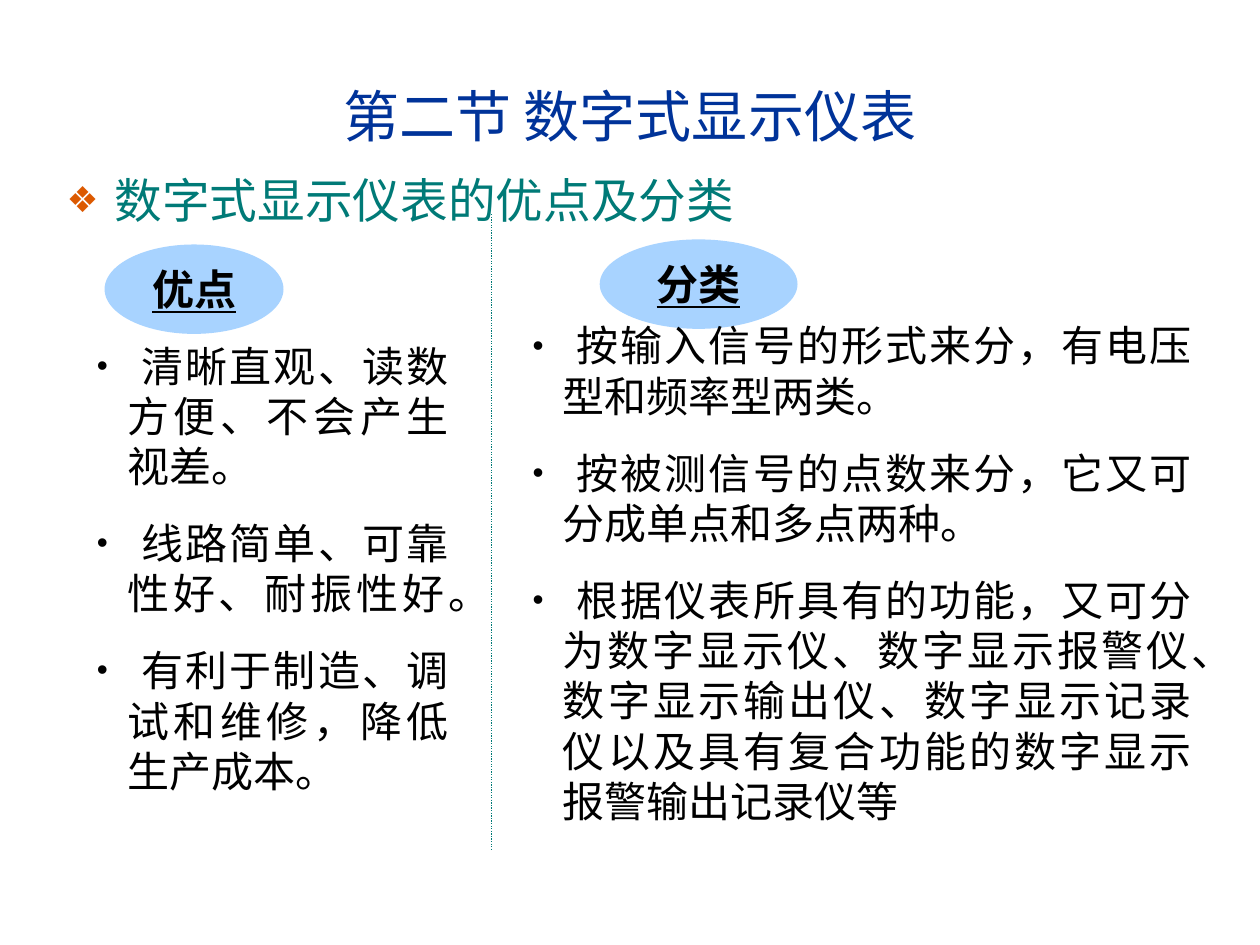
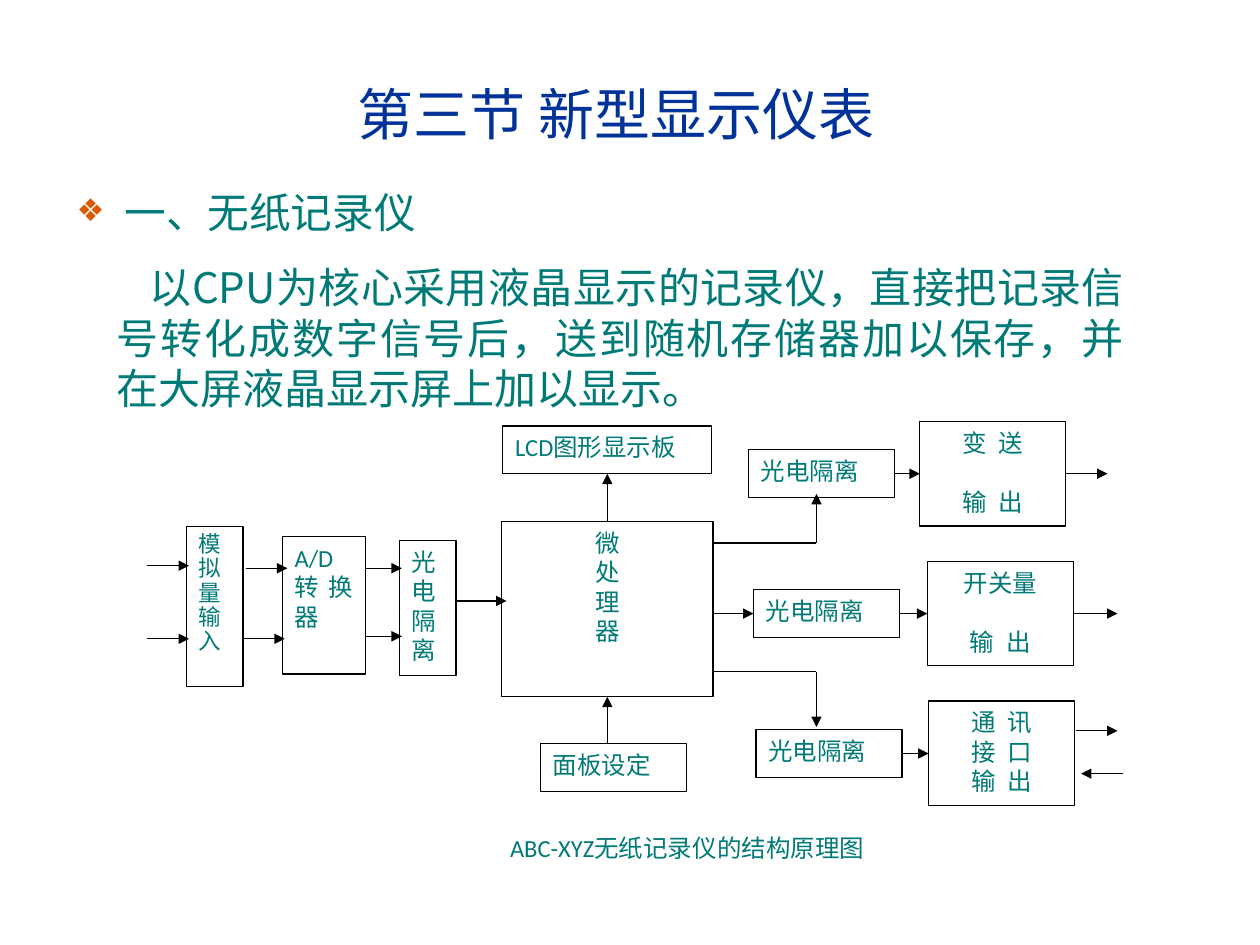
from dataclasses import dataclass

from lxml.etree import SubElement
from pptx import Presentation
from pptx.dml.color import RGBColor
from pptx.enum.dml import MSO_LINE
from pptx.enum.shapes import MSO_CONNECTOR, MSO_SHAPE
from pptx.enum.text import MSO_ANCHOR as Anchor, PP_ALIGN as Align
from pptx.oxml.ns import qn
from pptx.util import Inches, Pt


@dataclass(frozen=True)
class Theme:
    title: str = "003399"
    teal: str = "007A77"
    marker: str = "DC5900"
    oval: str = "99CCFF"
    ink: str = "000000"
    paper: str = "FFFFFF"
    heading_font: str = "Arial"
    list_font: str = "Times New Roman"
    box_font: str = "Calibri"
    cjk_font: str = "Noto Sans CJK SC"
    title_size: float = 32
    body_size: float = 24
    box_size: float = 14
    paragraph_gap: float = 15
    line_width: float = 0.75


THEME = Theme()
WIDTH, HEIGHT = 10, 7.5
TOP, LEFT, BOTTOM, RIGHT = range(4)

# Slide 1 content: heading, its oval, the list area, the points
COLUMNS = [
    ("优点", (0.83, 1.94, 1.42, 0.71), (0.67, 2.65, 2.99, 3.72), [
        "清晰直观、读数方便、不会产生视差。",
        "线路简单、可靠性好、耐振性好。",
        "有利于制造、调试和维修，降低生产成本。",
    ]),
    ("分类", (4.76, 1.9, 1.57, 0.71), (4.13, 2.49, 5.43, 4.12), [
        "按输入信号的形式来分，有电压型和频率型两类。",
        "按被测信号的点数来分，它又可分成单点和多点两种。",
        "根据仪表所具有的功能，又可分为数字显示仪、数字显示报警仪、数字显示输出仪、"
        "数字显示记录仪以及具有复合功能的数字显示报警输出记录仪等",
    ]),
]

# Slide 2 content
RECORDER = ("以CPU为核心采用液晶显示的记录仪，直接把记录信号转化成数字信号后，"
            "送到随机存储器加以保存，并在大屏液晶显示屏上加以显示。")
CAPTION = "ABC-XYZ无纸记录仪的结构原理图"

# Blocks: key -> area, lines, alignment
BLOCKS = {
    "lcd": ((3.99, 3.38, 1.66, 0.38), ["LCD图形显示板"], Align.JUSTIFY),
    "cpu": ((3.98, 4.14, 1.68, 1.39), list("微处理器"), Align.CENTER),
    "panel": ((4.29, 5.9, 1.16, 0.38), ["面板设定"], Align.JUSTIFY),
    "isolator": ((3.17, 4.29, 0.45, 1.07), ["光电隔离"], Align.JUSTIFY),
    "converter": ((2.24, 4.26, 0.66, 1.09), ["A/D转换器"], Align.JUSTIFY),
}
ANALOG_INPUT = ((1.48, 4.18, 0.45, 1.27), ["模拟量输入"], Align.JUSTIFY)

# Output rows: isolator left, output left, output lines, gap between lines
OUTPUTS = [
    (5.94, 7.3, ["变 送", "输 出"], 17),
    (5.98, 7.36, ["开关量", "输 出"], 17),
    (6.0, 7.37, ["通 讯", "接 口", "输 出"], 0),
]
FIRST_ROW, ROW_PITCH = 3.76, 1.11
OUTPUT_WIDTH, ISOLATOR_HEIGHT, OUTPUT_HEIGHT = 1.16, 0.38, 0.83

# Arrows: each end is a point or a (block, side) pair
ARROWS = [
    ((1.17, 4.49), (1.5, 4.49)), ((1.17, 5.07), (1.5, 5.07)),
    ((1.95, 4.51), (2.28, 4.51)), ((1.93, 5.07), (2.26, 5.07)),
    ((2.9, 4.51), (3.19, 4.51)), ((2.9, 5.05), (3.19, 5.05)),
    ((3.61, 4.77), (4.02, 4.77)),
    ((4.82, 5.9), ("cpu", BOTTOM)),
    (("cpu", TOP), ("lcd", BOTTOM)),
    ((6.48, 4.31), (6.48, 3.92)),
    ((5.67, 4.87), ("isolator1", LEFT)),
    ((6.48, 5.33), (6.48, 5.77)),
    (("output0", RIGHT), (8.79, 3.76)),
    (("output1", RIGHT), (8.87, 4.87)),
    ((8.54, 5.8), (8.87, 5.8)), ((8.91, 6.14), (8.58, 6.14)),
] + [((f"isolator{row}", RIGHT), (f"output{row}", LEFT)) for row in range(3)]
BRANCHES = [((5.67, y), (6.48, y)) for y in (4.31, 5.33)]


def rgb(code):
    return RGBColor.from_string(code)


def inches(values):
    return [Inches(value) for value in values]


def set_font(paragraph, name, size, color, bold=False, underline=False):
    font = paragraph.font
    font.name, font.size, font.bold = name, Pt(size), bold
    font.underline = underline
    font.color.rgb = rgb(color)
    SubElement(font._element, qn("a:ea")).set("typeface", THEME.cjk_font)


def set_bullet(paragraph, mark, color, hang):
    props = paragraph._p.get_or_add_pPr()
    props.set("marL", str(Inches(hang)))
    props.set("indent", str(-Inches(hang)))
    SubElement(SubElement(props, qn("a:buClr")), qn("a:srgbClr")).set("val", color)
    SubElement(props, qn("a:buSzPct")).set("val", "75000")
    SubElement(props, qn("a:buFont")).set("typeface", THEME.heading_font)
    SubElement(props, qn("a:buChar")).set("char", mark)


def write(frame, lines, align=Align.LEFT, gap=0):
    """Fill a frame with one paragraph per line and return the paragraphs."""
    frame.word_wrap = True
    for index, line in enumerate(lines):
        paragraph = frame.paragraphs[0] if index == 0 else frame.add_paragraph()
        paragraph.text = line
        paragraph.alignment = align
        if index and gap:
            paragraph.space_before = Pt(gap)
    return frame.paragraphs


def add_text(slide, area, lines, align=Align.LEFT, gap=0):
    return write(slide.shapes.add_textbox(*inches(area)).text_frame, lines, align, gap)


def add_shape(slide, kind, area, fill):
    shape = slide.shapes.add_shape(kind, *inches(area))
    shape.shadow.inherit = False
    shape.fill.solid()
    shape.fill.fore_color.rgb = rgb(fill)
    return shape


def add_line(slide, start, end, color=THEME.ink, dash=None, arrow=False, blocks=None):
    """Draw a straight line; ends given as (block, side) are joined to that block."""
    joined = [isinstance(point[0], str) for point in (start, end)]
    (x1, y1), (x2, y2) = [(0, 0) if join else point
                          for join, point in zip(joined, (start, end))]
    line = slide.shapes.add_connector(MSO_CONNECTOR.STRAIGHT, *inches((x1, y1, x2, y2)))
    if joined[0]:
        line.begin_connect(blocks[start[0]], start[1])
    if joined[1]:
        line.end_connect(blocks[end[0]], end[1])
    line.line.color.rgb = rgb(color)
    line.line.width = Pt(THEME.line_width)
    if dash:
        line.line.dash_style = dash
    if arrow:
        SubElement(line.line._get_or_add_ln(), qn("a:tailEnd")).set("type", "triangle")
    SubElement(line._element.spPr, qn("a:effectLst"))


def add_block(slide, area, lines, align, gap=0, size=THEME.box_size, spacing=None):
    block = add_shape(slide, MSO_SHAPE.RECTANGLE, area, THEME.paper)
    block.line.color.rgb = rgb(THEME.ink)
    block.line.width = Pt(THEME.line_width)
    block.text_frame.vertical_anchor = Anchor.TOP
    for paragraph in write(block.text_frame, lines, align, gap):
        if spacing:
            paragraph.line_spacing = spacing
        set_font(paragraph, THEME.box_font, size, THEME.teal)
        if " " in paragraph.text:  # letterspaced labels
            paragraph.font._element.set("spc", "180")
    return block


def start_slide(deck, title, title_area, topic, topic_area, topic_size, spacing=None):
    """Add a slide with the shared title and marked topic line."""
    slide = deck.slides.add_slide(deck.slide_layouts[5])
    heading = slide.shapes.title
    heading.left, heading.top, heading.width, heading.height = inches(title_area)
    heading.text_frame.vertical_anchor = Anchor.MIDDLE
    set_font(write(heading.text_frame, [title], Align.CENTER)[0],
             THEME.heading_font, THEME.title_size, THEME.title)
    line = add_text(slide, topic_area, [topic])[0]
    if spacing:
        line.line_spacing = spacing
    set_bullet(line, "❖", THEME.marker, 0.38)
    set_font(line, THEME.heading_font, topic_size, THEME.teal)
    return slide


def build_comparison(deck):
    slide = start_slide(deck, "第二节 数字式显示仪表", (0.33, 0.29, 9.34, 1.25),
                        "数字式显示仪表的优点及分类", (0.43, 1.31, 8.35, 0.55), 27.2)
    for heading, oval_area, list_area, points in COLUMNS:
        # Oval heading
        oval = add_shape(slide, MSO_SHAPE.OVAL, oval_area, THEME.oval)
        oval.line.fill.background()
        tint = oval._element.spPr.find(qn("a:solidFill"))[0]
        SubElement(tint, qn("a:alpha")).set("val", "85000")
        oval.text_frame.vertical_anchor = Anchor.MIDDLE
        set_font(write(oval.text_frame, [heading], Align.CENTER)[0], THEME.list_font,
                 THEME.body_size, THEME.ink, bold=True, underline=True)
        # Points
        lines = [f" {point}" for point in points]
        for paragraph in add_text(slide, list_area, lines, Align.JUSTIFY,
                                  THEME.paragraph_gap):
            set_bullet(paragraph, "•", THEME.ink, 0.24)
            set_font(paragraph, THEME.list_font, THEME.body_size, THEME.ink)
    # Divider between the columns
    add_line(slide, (3.9, 1.7), (3.9, 6.74), THEME.teal, MSO_LINE.ROUND_DOT)


def build_recorder(deck):
    slide = start_slide(deck, "第三节 新型显示仪表", (1.25, 0.46, 7.28, 0.87),
                        "一、无纸记录仪", (0.51, 1.54, 5.51, 0.39), 23.8, 0.7)
    # Description
    description = add_text(slide, (0.83, 2.03, 8.19, 1.3), [RECORDER], Align.JUSTIFY)[0]
    description._p.get_or_add_pPr().set("indent", str(Inches(0.26)))
    set_font(description, THEME.cjk_font, THEME.body_size, THEME.teal)

    # Blocks of the diagram
    blocks = {key: add_block(slide, *block) for key, block in BLOCKS.items()}
    add_block(slide, *ANALOG_INPUT, size=12.9, spacing=0.9)
    for row, (isolator_left, output_left, lines, gap) in enumerate(OUTPUTS):
        middle = FIRST_ROW + row * ROW_PITCH
        isolator = (isolator_left, middle - ISOLATOR_HEIGHT / 2,
                    OUTPUT_WIDTH, ISOLATOR_HEIGHT)
        output = (output_left, middle - OUTPUT_HEIGHT / 2, OUTPUT_WIDTH, OUTPUT_HEIGHT)
        blocks[f"isolator{row}"] = add_block(slide, isolator, ["光电隔离"], Align.JUSTIFY)
        blocks[f"output{row}"] = add_block(slide, output, lines, Align.CENTER, gap)

    # Signal paths
    for start, end in BRANCHES:
        add_line(slide, start, end)
    for start, end in ARROWS:
        add_line(slide, start, end, arrow=True, blocks=blocks)

    # Caption
    caption = add_text(slide, (3.95, 6.56, 4.4, 0.36), [CAPTION], Align.JUSTIFY)[0]
    set_font(caption, THEME.box_font, THEME.box_size, THEME.teal)


def main():
    deck = Presentation()
    deck.slide_width, deck.slide_height = inches((WIDTH, HEIGHT))
    build_comparison(deck)
    build_recorder(deck)
    deck.save("out.pptx")


if __name__ == "__main__":
    main()
